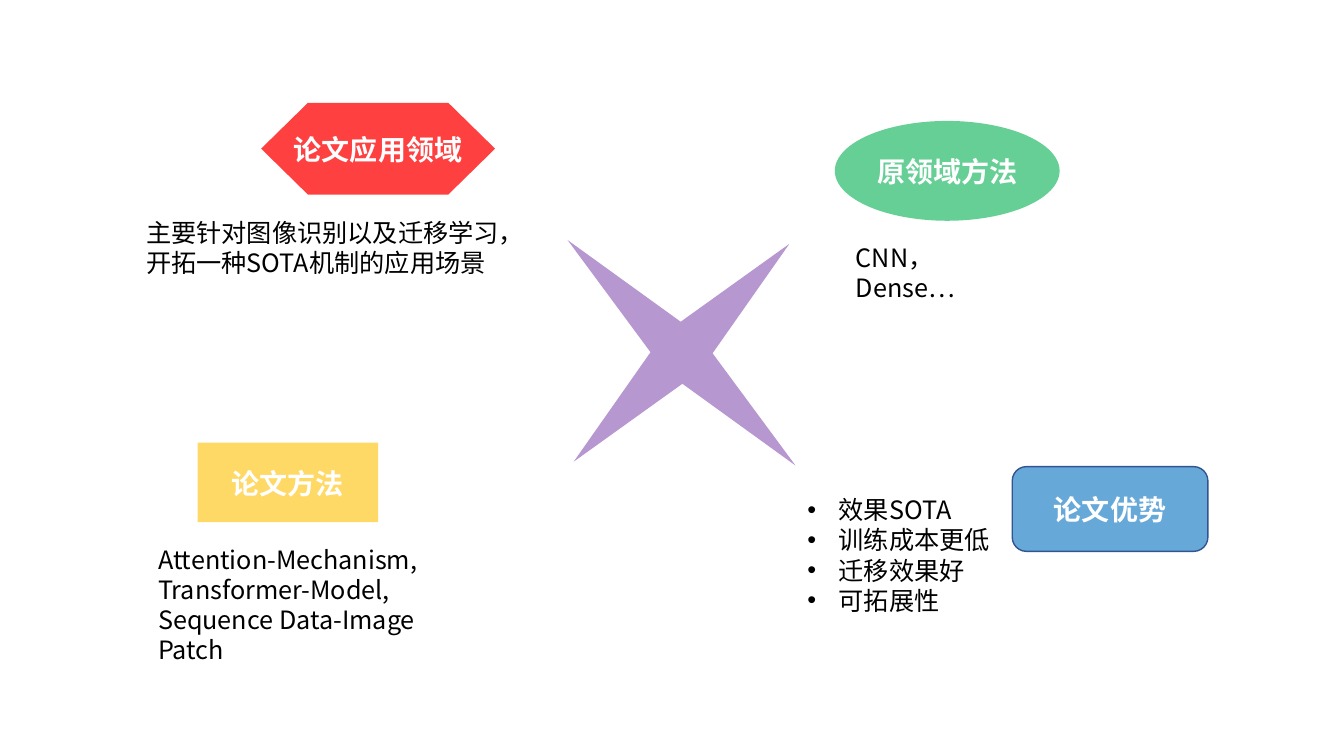
from lxml import etree
from pptx import Presentation
from pptx.dml.color import RGBColor
from pptx.enum.shapes import MSO_SHAPE
from pptx.enum.text import MSO_ANCHOR, PP_ALIGN
from pptx.oxml.ns import qn
from pptx.util import Pt

PX = 9144  # EMU, 100 px to the inch
FONT = "Noto Sans CJK SC"
WHITE = RGBColor(0xFF, 0xFF, 0xFF)
BLACK = RGBColor(0x00, 0x00, 0x00)
RED = RGBColor(0xFF, 0x00, 0x00)
GREEN = RGBColor(0x00, 0xB0, 0x50)
AMBER = RGBColor(0xFF, 0xC0, 0x00)
BLUE = RGBColor(0x00, 0x70, 0xC0)
NAVY = RGBColor(0x32, 0x54, 0x91)
PURPLE = RGBColor(0x70, 0x30, 0xA0)

presentation = Presentation()
presentation.slide_width = 1333 * PX
presentation.slide_height = 750 * PX
slide = presentation.slides.add_slide(presentation.slide_layouts[6])


def add_filled_shape(kind, box, color, opacity):
    """Add an unlined preset shape; opacity is in percent."""
    shape = slide.shapes.add_shape(kind, *(length * PX for length in box))
    shape.shadow.inherit = False
    shape.fill.solid()
    shape.fill.fore_color.rgb = color
    color_element = shape.fill._xPr.find(f".//{qn('a:srgbClr')}")
    etree.SubElement(color_element, qn("a:alpha"), val=str(opacity * 1000))
    shape.line.fill.background()
    return shape


def format_text(text_frame, size, color, line_height, bold=False):
    for paragraph in text_frame.paragraphs:
        paragraph.line_spacing = Pt(line_height)
        for run in paragraph.runs:
            run.font.size = Pt(size)
            run.font.bold = bold
            run.font.name = FONT
            run.font.color.rgb = color
            etree.SubElement(run.font._element, qn("a:ea"), typeface=FONT)


topics = [
    ("论文应用领域", MSO_SHAPE.FLOWCHART_PREPARATION, (259, 102, 232, 91), RED, 75, None),
    ("原领域方法", MSO_SHAPE.OVAL, (828, 120, 223, 99), GREEN, 60, None),
    ("论文方法", MSO_SHAPE.RECTANGLE, (196, 439, 179, 79), AMBER, 60, None),
    ("论文优势", MSO_SHAPE.ROUNDED_RECTANGLE, (1004, 463, 194, 84), BLUE, 60, NAVY),
]
for label, kind, box, color, opacity, outline in topics:
    topic = add_filled_shape(kind, box, color, opacity)
    if outline:
        topic.line.color.rgb = outline
        topic.line.width = Pt(1)
    text_frame = topic.text_frame
    text_frame.text = label
    text_frame.word_wrap = False
    text_frame.vertical_anchor = MSO_ANCHOR.MIDDLE
    text_frame.paragraphs[0].alignment = PP_ALIGN.CENTER
    format_text(text_frame, 20, WHITE, 25, bold=True)

star = add_filled_shape(MSO_SHAPE.STAR_4_POINT, (517, 198, 318, 304), PURPLE, 50)
star.adjustments[0] = 0.099
star.rotation = 44.7

details = [
    ((135, 211, 399, 71), False, ["主要针对图像识别以及迁移学习，", "开拓一种SOTA机制的应用场景"]),
    ((839, 236, 182, 40), False, ["CNN，Dense…"]),
    ((147, 535, 330, 101), False,
     ["Attention-Mechanism,", "Transformer-Model,", "Sequence Data-Image Patch"]),
    ((791, 486, 203, 131), True, ["效果SOTA", "训练成本更低", "迁移效果好", "可拓展性"]),
]
for box, bulleted, lines in details:
    text_frame = slide.shapes.add_textbox(*(length * PX for length in box)).text_frame
    text_frame.word_wrap = True
    text_frame.text = "\n".join(lines)
    format_text(text_frame, 18, BLACK, 21.5)
    if bulleted:
        for paragraph in text_frame.paragraphs:
            properties = paragraph._p.get_or_add_pPr()
            properties.set("marL", str(31 * PX))
            properties.set("indent", str(-31 * PX))
            etree.SubElement(properties, qn("a:buFont"), typeface="Arial")
            etree.SubElement(properties, qn("a:buChar"), char="•")

presentation.save("out.pptx")
